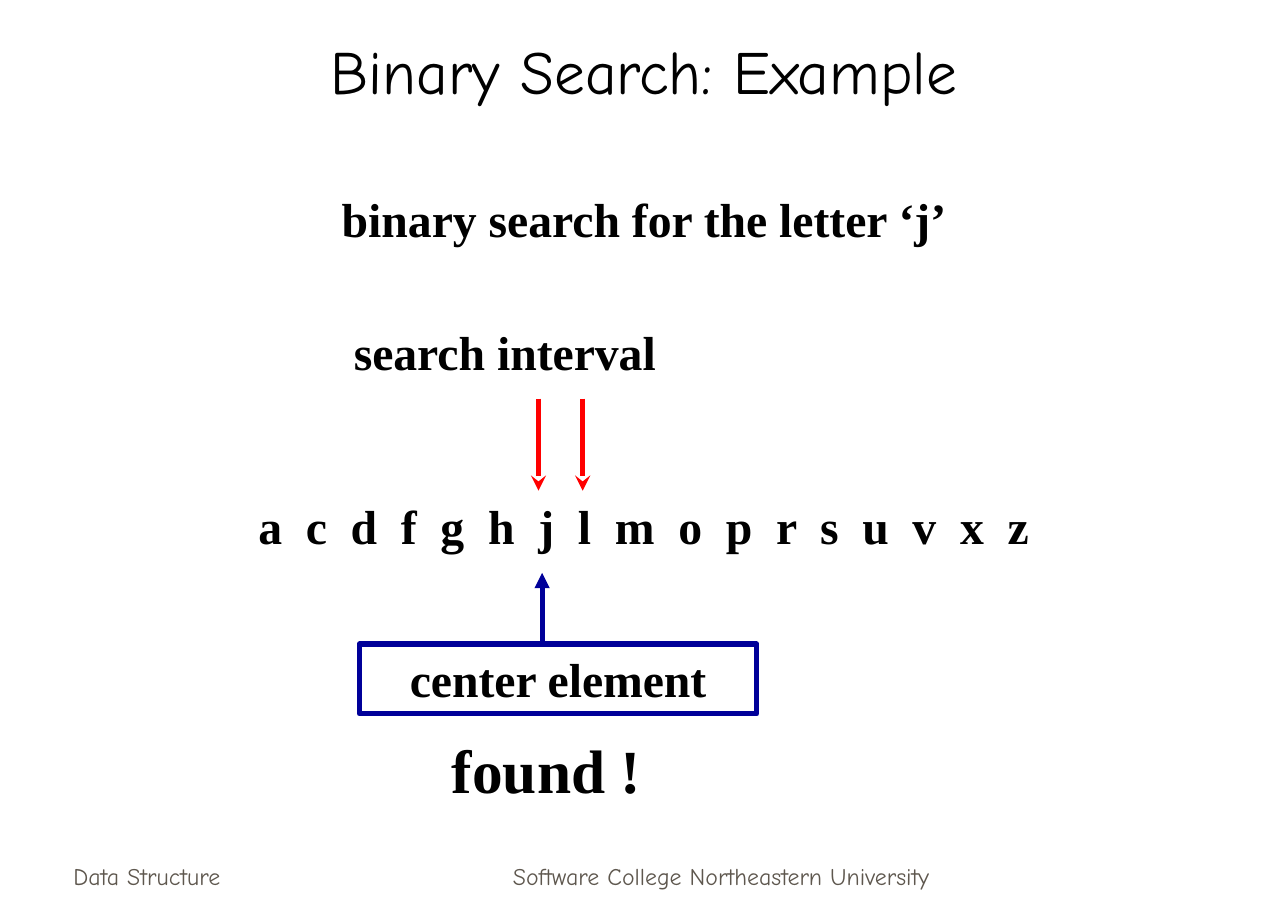
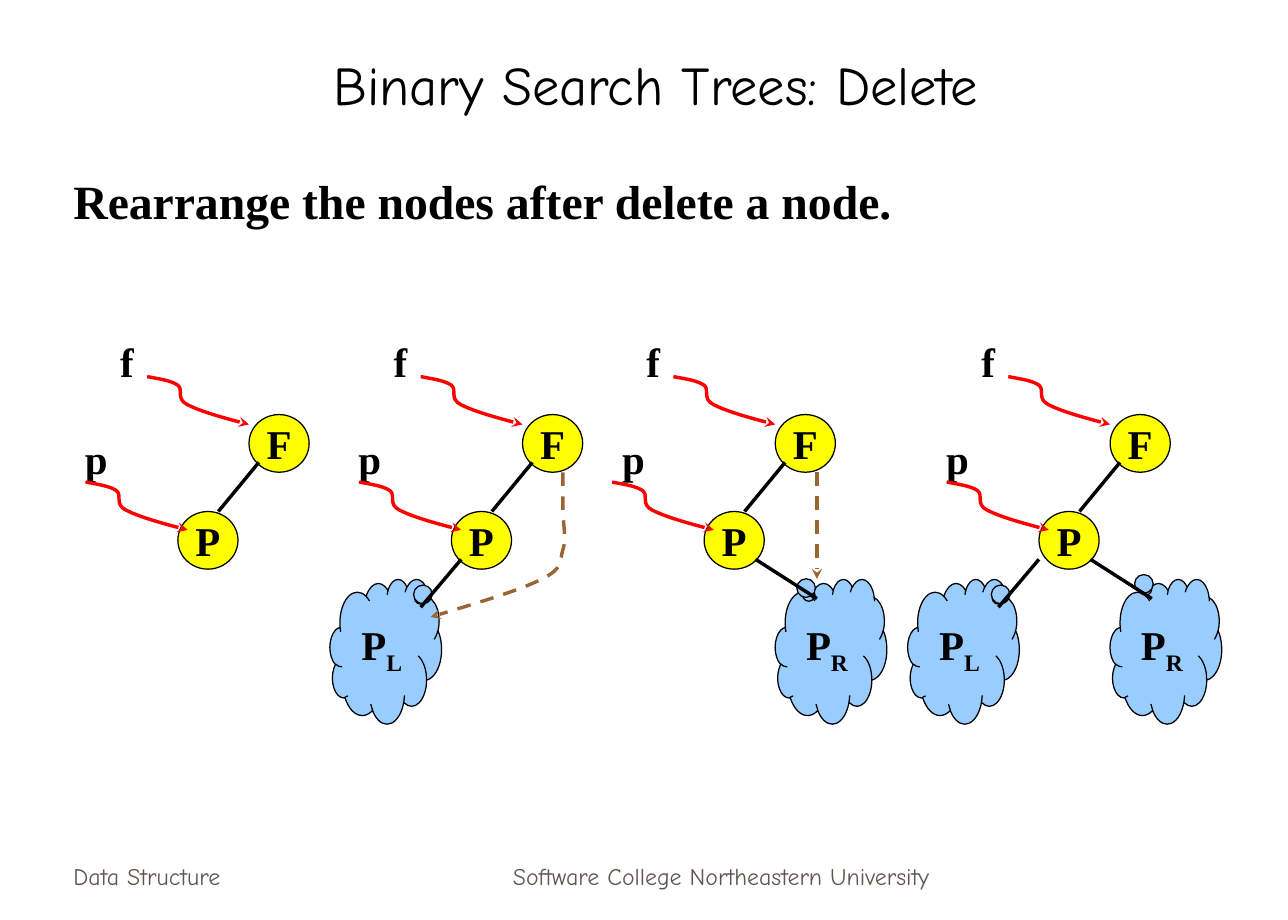
from lxml.etree import SubElement
from pptx import Presentation
from pptx.dml.color import RGBColor
from pptx.enum.dml import MSO_LINE
from pptx.enum.shapes import MSO_CONNECTOR, MSO_SHAPE
from pptx.enum.text import MSO_ANCHOR, PP_ALIGN
from pptx.oxml.ns import qn
from pptx.util import Inches, Pt

COLORS = {
    "text": "000000",
    "footer": "5E574E",
    "pointer": "FF0000",
    "center": "000099",
    "node": "FFFF00",
    "subtree": "99CCFF",
    "relink": "996633",
}
SERIF = "Times New Roman"
ROUND = "Comic Neue"
NODE_SIZE = (0.49, 0.47)
LABEL_SIZE = (0.49, 0.39)
SUBTREE_SIZE = (0.91, 1.18)
SQUIGGLE = [(0, 0), (0.1, 0.02), (0.19, 0.03), (0.25, 0.07), (0.3, 0.11),
            (0.23, 0.18), (0.33, 0.23), (0.43, 0.28), (0.63, 0.34), (0.83, 0.39)]


def color(name):
    return RGBColor.from_string(COLORS[name])


class Lecture:
    """Holds the deck, its style and the slide being built."""

    def __init__(self):
        self.deck = Presentation()
        self.deck.slide_width = Inches(10.5)
        self.deck.slide_height = Inches(7.5)
        self.page = None

    def new_page(self, title, title_box, title_size):
        self.page = self.deck.slides.add_slide(self.deck.slide_layouts[6])
        footer = {"size": 14, "font": ROUND, "ink": "footer", "bold": False,
                  "anchor": MSO_ANCHOR.BOTTOM}
        self.text("Data Structure", (0.5, 6.81, 2.19, 0.5), align=PP_ALIGN.LEFT, **footer)
        self.text("Software College Northeastern University",
                  (3.59, 6.81, 4.58, 0.5), **footer)
        self.text(title, title_box, size=title_size, font=ROUND, bold=False,
                  anchor=MSO_ANCHOR.BOTTOM)

    def set_text(self, shape, text, size=28, font=SERIF, ink="text", bold=True,
                 align=PP_ALIGN.CENTER, anchor=MSO_ANCHOR.TOP, wrap=True, subscript=""):
        frame = shape.text_frame
        frame_format = {
            "word_wrap": wrap, "vertical_anchor": anchor,
            "margin_left": Inches(0.1), "margin_right": Inches(0.1),
            "margin_top": Inches(0.05), "margin_bottom": Inches(0.05),
        }
        for name, value in frame_format.items():
            setattr(frame, name, value)
        para = frame.paragraphs[0]
        para.alignment = align
        for part in filter(None, (text, subscript)):
            span = para.add_run()
            span.text = part
            for name, value in {"name": font, "size": Pt(size), "bold": bold}.items():
                setattr(span.font, name, value)
            span.font.color.rgb = color(ink)
        if subscript:
            span.font._element.set("baseline", "-25000")
        return shape

    def text(self, text, place, **style):
        box = self.page.shapes.add_textbox(*map(Inches, place))
        return self.set_text(box, text, **style)

    def shape(self, kind, place, text, fill=None, line="text", width=0.75, **style):
        shape = self.page.shapes.add_shape(kind, *map(Inches, place))
        shape.shadow.inherit = False
        if fill:
            shape.fill.solid()
            shape.fill.fore_color.rgb = color(fill)
        else:
            shape.fill.background()
        self.stroke(shape, line, width)
        return self.set_text(shape, text, **style)

    def stroke(self, shape, ink, width, tip=None, dashed=False):
        shape.line.color.rgb = color(ink)
        shape.line.width = Pt(width)
        if dashed:
            shape.line.dash_style = MSO_LINE.DASH
        if tip:
            outline = shape._element.spPr.find(qn("a:ln"))
            SubElement(outline, qn("a:tailEnd"), type=tip)

    def line(self, start, end, ink="text", width=2, **ends):
        connector = self.page.shapes.add_connector(
            MSO_CONNECTOR.STRAIGHT, *map(Inches, (*start, *end)))
        self.stroke(connector, ink, width, **ends)
        SubElement(connector._element.spPr, qn("a:effectLst"))

    def curve(self, points, ink, **ends):
        """Draw cubic curves; after the start, every three points make one curve."""
        points = [(Inches(x), Inches(y)) for x, y in points]
        builder = self.page.shapes.build_freeform(*points[0])
        builder.add_line_segments(points[1:], close=False)
        shape = builder.convert_to_shape()
        segments = list(shape._element.iter(qn("a:lnTo")))
        outline = segments[0].getparent()
        for first in range(0, len(segments), 3):
            cubic = SubElement(outline, qn("a:cubicBezTo"))
            for segment in segments[first:first + 3]:
                cubic.append(segment[0])
                outline.remove(segment)
        shape.shadow.inherit = False
        shape.fill.background()
        self.stroke(shape, ink, 2, tip="stealth", **ends)

    def pointer(self, label, label_place, start):
        self.text(label, (*label_place, *LABEL_SIZE), size=24,
                  anchor=MSO_ANCHOR.MIDDLE, wrap=False)
        self.curve([(start[0] + x, start[1] + y) for x, y in SQUIGGLE], "pointer")

    def node(self, label, left, top):
        self.shape(MSO_SHAPE.OVAL, (left, top, *NODE_SIZE), label, fill="node",
                   size=24, anchor=MSO_ANCHOR.MIDDLE, wrap=False)

    def subtree(self, side, left, callout):
        cloud = self.shape(MSO_SHAPE.CLOUD_CALLOUT, (left, 4.72, *SUBTREE_SIZE), "P",
                           fill="subtree", size=24, anchor=MSO_ANCHOR.MIDDLE,
                           subscript=side)
        cloud.adjustments[0], cloud.adjustments[1] = callout

    def tree(self, x, label_shift=0, left_shift=None, right_callout=None):
        """Draw parent F at x, its child P, and the subtrees P has."""
        if left_shift is not None:
            self.subtree("L", x - 1.57 + left_shift, (0.322, -0.381))
        if right_callout:
            self.subtree("R", x, right_callout)
        self.node("F", x, 3.38)
        self.node("P", x - 0.58, 4.17)
        self.line((x + 0.08, 3.77), (x - 0.25, 4.17))
        self.pointer("f", (x - 1.24, 2.75), (x - 0.83, 3.07))
        self.pointer("p", (x - 1.49 + label_shift, 3.54), (x - 1.33, 3.93))
        if left_shift is not None:
            self.line((x - 0.5 + left_shift, 4.56), (x - 0.83 + left_shift, 4.95))
        if right_callout:
            self.line((x - 0.16, 4.56), (x + 0.34, 4.88))


def build_search_example(lecture):
    lecture.new_page("Binary Search: Example", (0.79, 0.17, 8.92, 0.75), 36)
    lecture.text("binary search for the letter ‘j’", (0.96, 1.5, 8.58, 0.57))
    lecture.text("search interval", (2.54, 2.58, 3.15, 0.57))
    letters = lecture.text(" ".join("acdfghjlmoprsuvxz"), (0.96, 4, 8.58, 0.57))
    letters.text_frame.paragraphs[0].runs[0].font._element.set("spc", "350")
    for x in (4.39, 4.75):
        lecture.line((x, 3.25), (x, 4), "pointer", 3, tip="stealth")
    lecture.shape(MSO_SHAPE.RECTANGLE, (2.93, 5.25, 3.24, 0.57), "center element",
                  line="center", width=3)
    lecture.line((4.42, 5.25), (4.42, 4.67), "center", 3, tip="triangle")
    lecture.text("found !", (0.17, 5.92, 8.57, 0.7), size=36)


def build_tree_delete(lecture):
    lecture.new_page("Binary Search Trees: Delete", (0.5, 0.17, 9.7, 0.83), 32)
    lecture.text("Rearrange the nodes after delete a node.",
                 (0.5, 1.35, 9.47, 0.57), align=PP_ALIGN.LEFT)
    lecture.tree(2.03)
    lecture.tree(4.26, left_shift=0)
    lecture.tree(6.32, label_shift=0.09, right_callout=(-0.195, -0.381))
    lecture.tree(9.05, left_shift=-0.08, right_callout=(-0.185, -0.437))
    lecture.curve([(4.59, 3.85), (4.59, 3.96), (4.59, 4.06), (4.59, 4.17),
                   (4.59, 4.27), (4.62, 4.39), (4.59, 4.48),
                   (4.56, 4.57), (4.6, 4.63), (4.42, 4.72),
                   (4.24, 4.81), (3.88, 4.92), (3.51, 5.03)], "relink", dashed=True)
    lecture.line((6.66, 3.85), (6.66, 4.72), "relink", tip="stealth", dashed=True)


def main():
    lecture = Lecture()
    build_search_example(lecture)
    build_tree_delete(lecture)
    lecture.deck.save("out.pptx")


if __name__ == "__main__":
    main()
